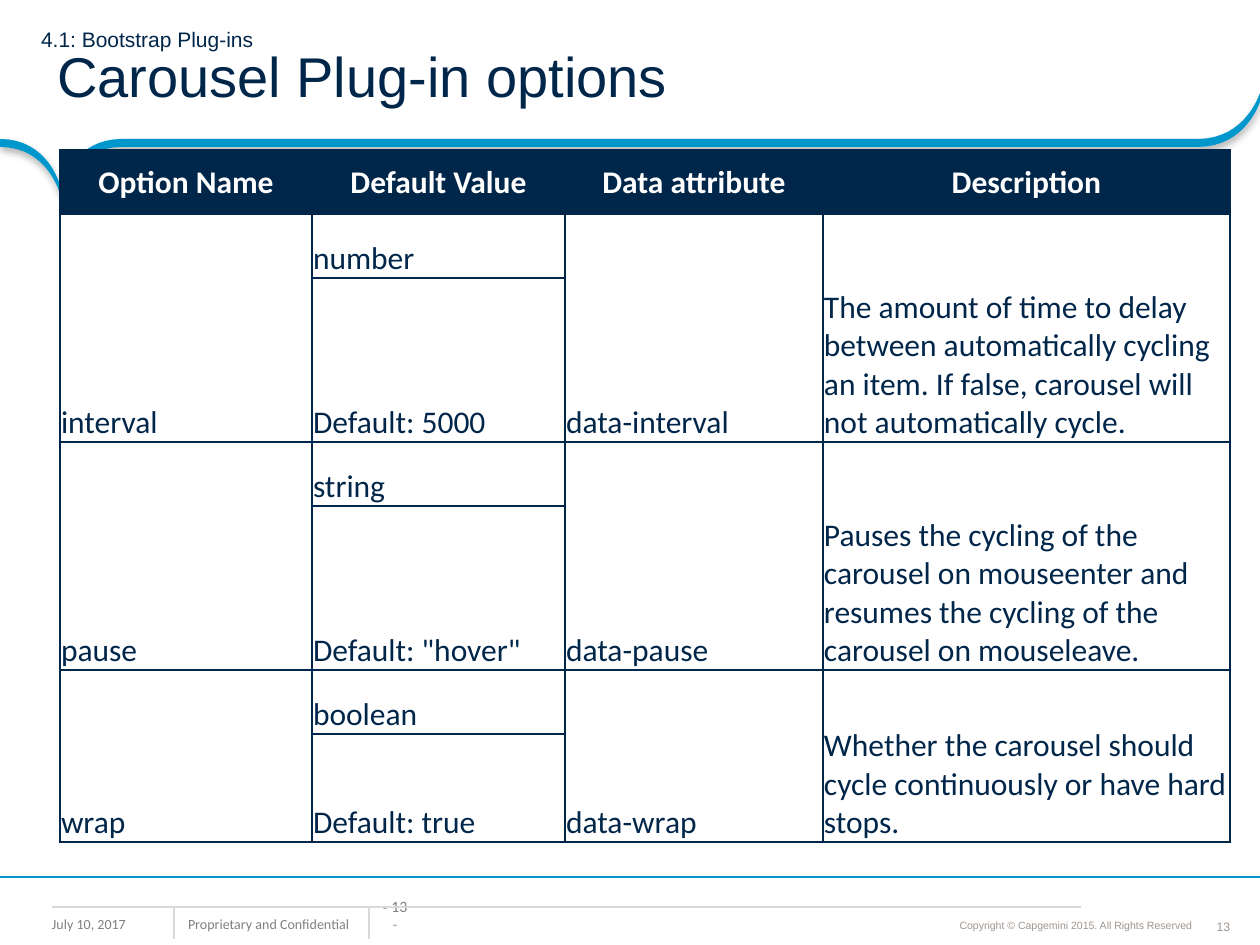
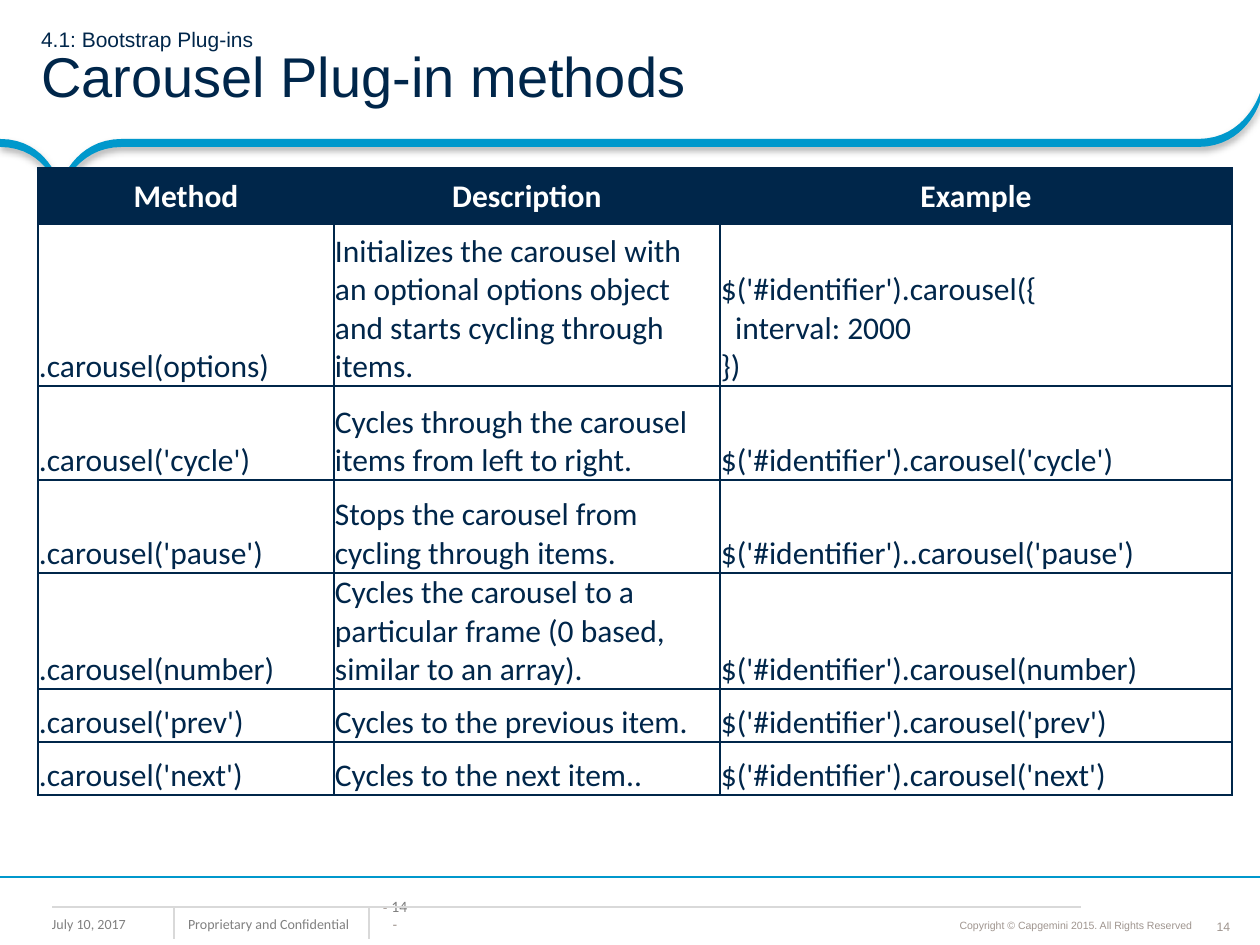
from lxml.etree import SubElement
from pptx import Presentation
from pptx.dml.color import RGBColor
from pptx.enum.shapes import MSO_CONNECTOR
from pptx.enum.text import MSO_ANCHOR, PP_ALIGN
from pptx.oxml import parse_xml
from pptx.oxml.ns import nsdecls, qn
from pptx.util import Pt

SCALE = 914400 / 126  # EMU in one px
COLORS = {"navy": "00264A", "blue": "0098CC", "white": "FFFFFF",
          "gray": "808080", "taupe": "9F958F", "pale": "D9D9D9"}

# Wave under the title: a point is a line, three points are a curve
START = (1198, 139)
WAVE = [
    [(122, 139)],
    [(74, 139), (60, 185), (60, 185)],
    [(60, 185), (48, 139), (0, 139)],
    [(0, 147)],
    [(48, 147), (60, 194), (60, 194)],
    [(60, 194), (74, 147), (122, 147)],
    [(1198, 147)],
    [(1246, 147), (1260, 102), (1260, 102)],
    [(1260, 93)],
    [(1260, 93), (1246, 139), (1198, 139)],
]
SHADOW = (f'<a:outerShdw {nsdecls("a")} blurRad="50800" dist="25400" dir="5400000" '
          'rotWithShape="0"><a:srgbClr val="000000"><a:alpha val="31000"/>'
          '</a:srgbClr></a:outerShdw>')

# Table content; None joins a cell to the one above
OPTIONS = [
    ["Option Name", "Default Value", "Data attribute", "Description"],
    ["interval", "number", "data-interval",
     "The amount of time to delay between automatically cycling an item. "
     "If false, carousel will not automatically cycle."],
    [None, "Default: 5000", None, None],
    ["pause", "string", "data-pause",
     "Pauses the cycling of the carousel on mouseenter and resumes the cycling "
     "of the carousel on mouseleave."],
    [None, 'Default: "hover"', None, None],
    ["wrap", "boolean", "data-wrap",
     "Whether the carousel should cycle continuously or have hard stops."],
    [None, "Default: true", None, None],
]
METHODS = [
    ["Method", "Description", "Example"],
    [".carousel(options)",
     "Initializes the carousel with an optional options object and starts "
     "cycling through items.",
     "$('#identifier').carousel({\n  interval: 2000\n})"],
    [".carousel('cycle')", "Cycles through the carousel items from left to right.",
     "$('#identifier').carousel('cycle')"],
    [".carousel('pause')", "Stops the carousel from cycling through items.",
     "$('#identifier')..carousel('pause')"],
    [".carousel(number)",
     "Cycles the carousel to a particular frame (0 based, similar to an array).",
     "$('#identifier').carousel(number)"],
    [".carousel('prev')", "Cycles to the previous item.",
     "$('#identifier').carousel('prev')"],
    [".carousel('next')", "Cycles to the next item..",
     "$('#identifier').carousel('next')"],
]


def emu(px):
    return round(px * SCALE)


def rgb(name):
    return RGBColor.from_string(COLORS[name])


def bend(start, ctrl, steps=16):
    """Points along a cubic curve."""
    pts = [start, *ctrl]
    for i in range(1, steps + 1):
        t = i / steps
        mix = ((1 - t) ** 3, 3 * t * (1 - t) ** 2, 3 * t * t * (1 - t), t ** 3)
        yield tuple(sum(m * p[k] for m, p in zip(mix, pts)) for k in (0, 1))


class Deck:
    def __init__(self):
        self.file = Presentation()
        self.file.slide_width, self.file.slide_height = emu(1260), emu(945)
        self.slide = None

    def font(self, run, size, color, face="Arial", bold=False):
        run.font.name, run.font.size, run.font.bold = face, Pt(size), bold
        run.font.color.rgb = rgb(color)

    def pad(self, frame, left, top, right, bottom):
        frame.margin_left, frame.margin_top = emu(left), emu(top)
        frame.margin_right, frame.margin_bottom = emu(right), emu(bottom)

    def page(self, num, head, indent=0):
        self.slide = self.file.slides.add_slide(self.file.slide_layouts[5])
        self.wave()
        self.foot(num)
        self.title(head, indent)

    def title(self, head, indent):
        shape = self.slide.shapes.title
        shape.left, shape.top, shape.width, shape.height = 0, 0, emu(1260), emu(139)
        frame = shape.text_frame
        self.pad(frame, 41, 5, 23, 5)
        frame.vertical_anchor = MSO_ANCHOR.MIDDLE
        para = frame.paragraphs[0]
        para.text = "4.1: Bootstrap Plug-ins\v" + head
        para.alignment, para.line_spacing = PP_ALIGN.LEFT, 0.85
        for run, size in zip(para.runs, (12, 32)):
            self.font(run, size, "navy")
        # Small line break, and a hanging indent for the second line
        SubElement(para._p.find(qn("a:br")), qn("a:rPr")).set("sz", "1200")
        props = para._p.get_or_add_pPr()
        props.set("marL", str(emu(indent)))
        props.set("indent", str(-emu(indent)))

    def wave(self):
        pen, pts = START, []
        for part in WAVE:
            pts += part if len(part) == 1 else bend(pen, part)
            pen = part[-1]
        form = self.slide.shapes.build_freeform(*map(emu, START), scale=1)
        form.add_line_segments([(emu(x), emu(y)) for x, y in pts], close=True)
        shape = form.convert_to_shape()
        shape.fill.solid()
        shape.fill.fore_color.rgb = rgb("blue")
        shape.line.fill.background()
        shape.shadow.inherit = False
        shape._element.spPr.find(qn("a:effectLst")).append(parse_xml(SHADOW))

    def line(self, x1, y1, x2, y2, color):
        line = self.slide.shapes.add_connector(
            MSO_CONNECTOR.STRAIGHT, *map(emu, (x1, y1, x2, y2)))
        line.line.color.rgb, line.line.width = rgb(color), Pt(0.75)
        SubElement(line._element.spPr, qn("a:effectLst"))

    def text(self, box, runs, align=PP_ALIGN.LEFT, anchor=MSO_ANCHOR.TOP,
             pad=(13, 6, 13, 6), wrap=False):
        frame = self.slide.shapes.add_textbox(*map(emu, box)).text_frame
        frame.word_wrap, frame.vertical_anchor = wrap, anchor
        self.pad(frame, *pad)
        para = frame.paragraphs[0]
        para.alignment = align
        for words, *style in runs:
            run = para.add_run()
            run.text = words
            self.font(run, *style)
        return para

    def foot(self, num):
        none = (0, 0, 0, 0)
        mid, low = MSO_ANCHOR.MIDDLE, MSO_ANCHOR.BOTTOM
        self.text((1216, 919, 15, 15), [(str(num), 7, "taupe")],
                  PP_ALIGN.CENTER, mid, none)
        para = self.text((858, 912, 339, 25),
                         [("Copyright © Capgemini 2015. All Rights Reserved", 6, "taupe")],
                         PP_ALIGN.RIGHT, low, (5, 5, 5, 5), True)
        para.line_spacing = 0.9
        self.text((39, 910, 168, 31), [("July 10, 2017", 8, "gray", "Calibri")], wrap=True)
        self.text((175, 910, 198, 30),
                  [("Proprietary and Confidential", 8, "gray", "Calibri")])
        self.text((380, 913, 30, 19),
                  [("- ", 8, "taupe"), (f"{num} ", 9, "gray", "Calibri"), ("-", 8, "taupe")],
                  PP_ALIGN.CENTER, low, none, True)
        self.line(1260, 877, 0, 877, "blue")
        self.line(1081, 907, 52, 907, "pale")
        for x in (174, 369):
            self.line(x, 907, x, 939, "pale")

    def table(self, left, top, cols, rows, data):
        grid = self.slide.shapes.add_table(
            len(rows), len(cols),
            *map(emu, (left, top, sum(cols), sum(rows)))).table
        grid.first_row = grid.horz_banding = False
        for col, px in zip(grid.columns, cols):
            col.width = emu(px)
        for row, px in zip(grid.rows, rows):
            row.height = emu(px)
        for r, line in enumerate(data):
            for c, words in enumerate(line):
                self.cell(grid.cell(r, c), words, r == 0)
                if words is None:
                    grid.cell(r - 1, c).merge(grid.cell(r, c))

    def cell(self, cell, words, head):
        props = cell._tc.get_or_add_tcPr()
        for side in "LRTB":
            props.append(parse_xml(
                f'<a:ln{side} {nsdecls("a")} w="12700"><a:solidFill>'
                f'<a:srgbClr val="{COLORS["navy"]}"/></a:solidFill></a:ln{side}>'))
        if head:
            cell.fill.solid()
            cell.fill.fore_color.rgb = rgb("navy")
        else:
            cell.fill.background()
        self.pad(cell, 1, 1, 1, 0)
        cell.vertical_anchor = MSO_ANCHOR.MIDDLE if head else MSO_ANCHOR.BOTTOM
        if words is None:
            return
        cell.text_frame.text = words
        for para in cell.text_frame.paragraphs:
            para.alignment = PP_ALIGN.CENTER if head else PP_ALIGN.LEFT
            for run in para.runs:
                self.font(run, 18, "white" if head else "navy", "Calibri", head)


def main():
    deck = Deck()

    # Options
    deck.page(13, "Carousel Plug-in options", indent=16)
    deck.table(60, 150, (252, 253, 258, 407), (64, 64, 164, 64, 164, 64, 108), OPTIONS)

    # Methods
    deck.page(14, "Carousel Plug-in methods")
    deck.table(38, 168, (296, 386, 512), (56, 162, 94, 93, 116, 53, 53), METHODS)

    deck.file.save("out.pptx")


if __name__ == "__main__":
    main()
